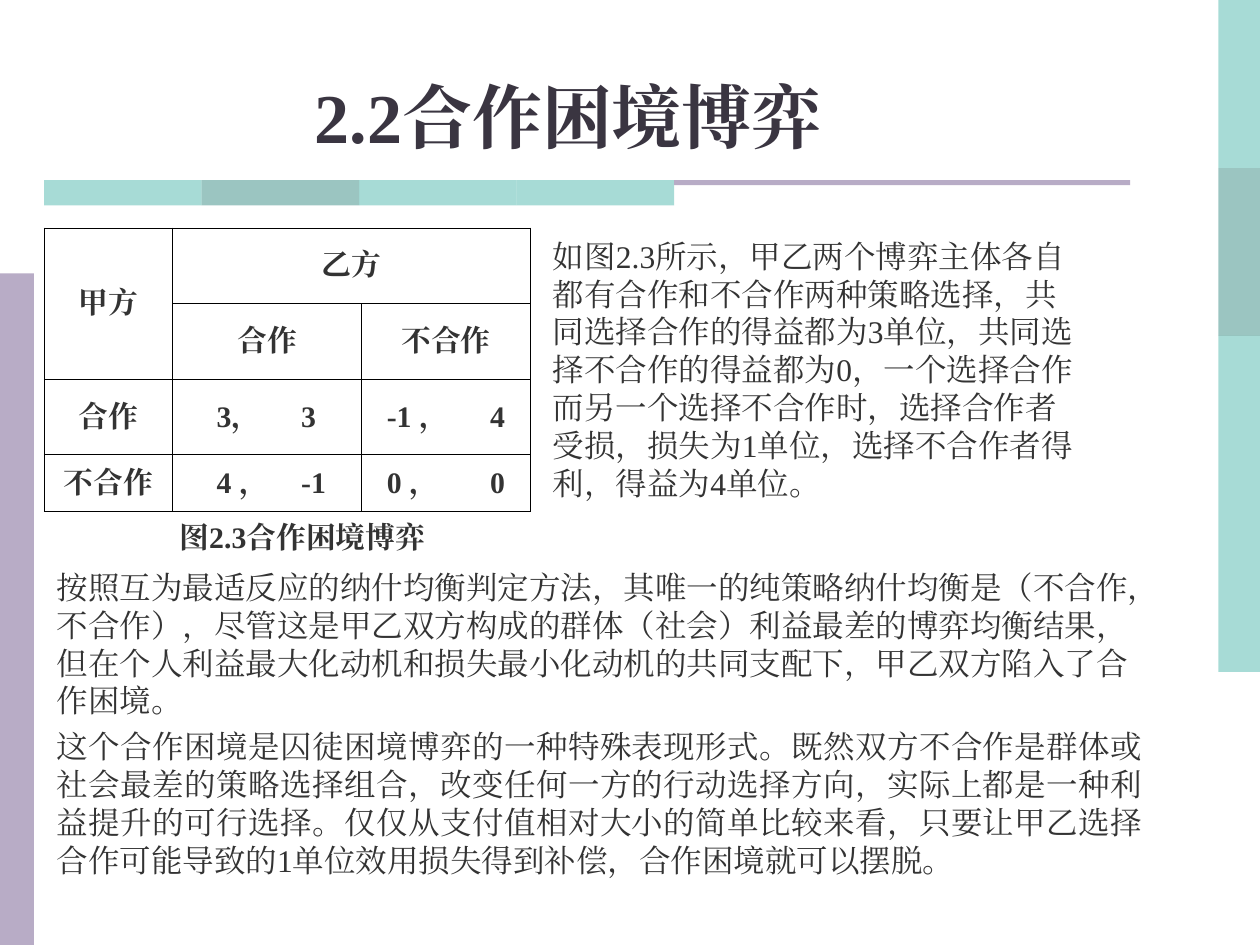
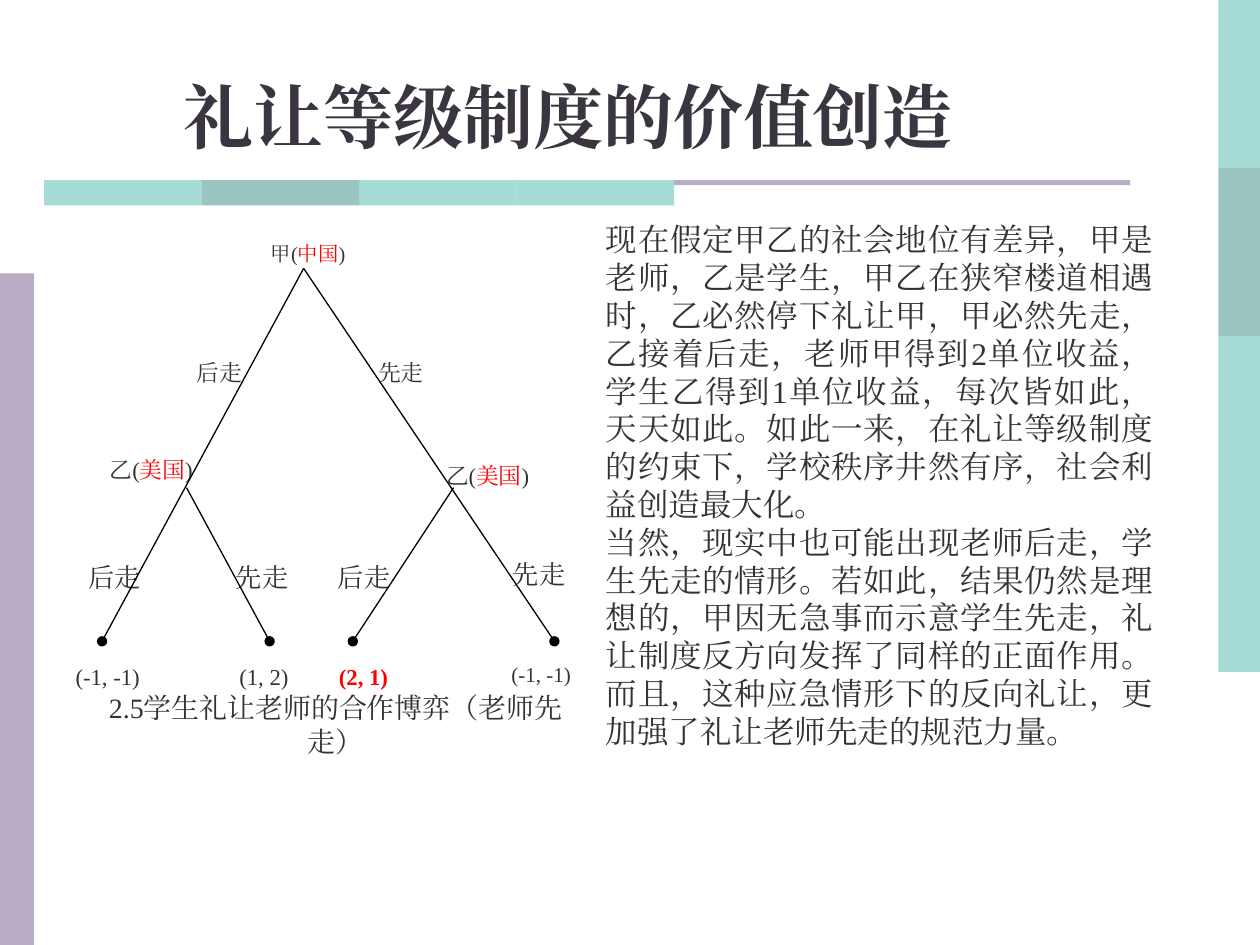
from dataclasses import dataclass

from lxml.etree import SubElement
from pptx import Presentation
from pptx.dml.color import RGBColor
from pptx.enum.shapes import MSO_CONNECTOR, MSO_SHAPE
from pptx.enum.text import MSO_ANCHOR, PP_ALIGN
from pptx.oxml.ns import qn
from pptx.slide import Slide
from pptx.table import _Cell
from pptx.text.text import TextFrame
from pptx.util import Inches, Pt

FONT = "Times New Roman"
COLORS = {
    "teal": "51B9AF",
    "deep_teal": "398D85",
    "lilac": "B8ACC6",
    "title": "3A3541",
    "body": "333333",
    "accent": "FF0000",
    "line": "000000",
    "paper": "FFFFFF",
}
BAND_COLORS = ["teal", "deep_teal", "teal", "teal"]


@dataclass(frozen=True)
class Box:
    left: float
    top: float
    width: float
    height: float

    def lengths(self) -> list[int]:
        return [Inches(v) for v in (self.left, self.top, self.width, self.height)]


@dataclass(frozen=True)
class TreeLabel:
    text: str
    box: Box
    size: float = 13
    align: PP_ALIGN = PP_ALIGN.CENTER
    spacing: float = 1.9
    accent: str = ""
    bold: bool = False
    inset: float = 0


@dataclass(frozen=True)
class Branch:
    start: tuple[float, float]
    end: tuple[float, float]


@dataclass(frozen=True)
class PayoffColumn:
    """Left margin of a payoff pair and the distance to its second value."""
    margin: float
    gap: float


TITLE_BOX = Box(0, 0.44, 9.02, 0.86)
PAYOFF_COLUMNS = {1: PayoffColumn(0.35, 0.67), 2: PayoffColumn(0.2, 0.82)}

MATRIX_BOX = Box(0.35, 1.81, 3.86, 2.25)
MATRIX_WIDTHS = [1.02, 1.5, 1.34]
MATRIX_HEIGHTS = [0.6, 0.6, 0.6, 0.45]
MATRIX = [
    ["甲方", "乙方", ""],
    ["", "合作", "不合作"],
    ["合作", "3，\t3", "-1 ，\t4"],
    ["不合作", "4 ，\t-1", "0 ，\t0"],
]

MATRIX_READING = (
    "如图2.3所示，甲乙两个博弈主体各自都有合作和不合作两种策略选择，"
    "共同选择合作的得益都为3单位，共同选择不合作的得益都为0，"
    "一个选择合作而另一个选择不合作时，选择合作者受损，损失为1单位，"
    "选择不合作者得利，得益为4单位。"
)
EQUILIBRIUM = (
    "按照互为最适反应的纳什均衡判定方法，其唯一的纯策略纳什均衡是（不合作，不合作），"
    "尽管这是甲乙双方构成的群体（社会）利益最差的博弈均衡结果，"
    "但在个人利益最大化动机和损失最小化动机的共同支配下，甲乙双方陷入了合作困境。"
)
WAY_OUT = (
    "这个合作困境是囚徒困境博弈的一种特殊表现形式。"
    "既然双方不合作是群体或社会最差的策略选择组合，改变任何一方的行动选择方向，"
    "实际上都是一种利益提升的可行选择。仅仅从支付值相对大小的简单比较来看，"
    "只要让甲乙选择合作可能导致的1单位效用损失得到补偿，合作困境就可以摆脱。"
)
TEACHER_FIRST = (
    "现在假定甲乙的社会地位有差异，甲是老师，乙是学生，甲乙在狭窄楼道相遇时，"
    "乙必然停下礼让甲，甲必然先走，乙接着后走，老师甲得到2单位收益，"
    "学生乙得到1单位收益，每次皆如此，天天如此。如此一来，"
    "在礼让等级制度的约束下，学校秩序井然有序，社会利益创造最大化。"
)
STUDENT_FIRST = (
    "当然，现实中也可能出现老师后走，学生先走的情形。若如此，结果仍然是理想的，"
    "甲因无急事而示意学生先走，礼让制度反方向发挥了同样的正面作用。"
    "而且，这种应急情形下的反向礼让，更加强了礼让老师先走的规范力量。"
)

LEFT, RIGHT, JUSTIFY = PP_ALIGN.LEFT, PP_ALIGN.RIGHT, PP_ALIGN.JUSTIFY
TREE_LABELS = [
    TreeLabel("后走", Box(2.54, 4.23, 0.7, 0.53), 15),
    TreeLabel("先走", Box(3.93, 4.21, 0.7, 0.53), 15),
    TreeLabel("(-1, -1)", Box(4.06, 5.09, 0.54, 0.36), 12, LEFT, 1.8),
    TreeLabel("先走", Box(1.76, 4.23, 0.64, 0.53), 15),
    TreeLabel("先走", Box(3, 2.65, 0.85, 0.46), align=LEFT),
    TreeLabel("乙(美国)", Box(3.54, 3.47, 0.93, 0.42), align=LEFT, accent="美国"),
    TreeLabel("乙(美国)", Box(0.68, 3.42, 0.85, 0.42), align=RIGHT, accent="美国"),
    TreeLabel("(2, 1)", Box(2.64, 5.09, 0.67, 0.39), 13, LEFT, 1.8,
              accent="(2, 1)", bold=True, inset=0.05),
    TreeLabel("(1, 2)", Box(1.85, 5.09, 0.67, 0.39), 13, LEFT, 1.8, inset=0.05),
    TreeLabel("(-1, -1)", Box(0.55, 5.09, 0.67, 0.39), 13, LEFT, 1.8, inset=0.05),
    TreeLabel("后走", Box(0.6, 4.23, 0.62, 0.53), 15),
    TreeLabel("后走", Box(0.99, 2.65, 0.93, 0.46), align=RIGHT),
    TreeLabel("甲(中国)", Box(2.06, 1.78, 0.77, 0.42), 11.6, spacing=1.7, accent="中国"),
]
BRANCHES = [
    Branch((2.41, 2.13), (0.81, 5.09)),
    Branch((2.41, 2.13), (4.4, 5.09)),
    Branch((1.48, 3.87), (2.14, 5.09)),
    Branch((3.6, 3.87), (2.8, 5.09)),
]


def rgb(color: str) -> RGBColor:
    return RGBColor.from_string(COLORS[color])


def write_text(frame: TextFrame, *paragraphs: str, size: float = 18,
               color: str = "body", bold: bool = False, accent: str = "",
               aligns: tuple[PP_ALIGN, ...] = (LEFT,), spacing: float = 1.0,
               gap: float = 0, tab: float = 0) -> None:
    """Fill a frame; the last of aligns also serves any further paragraphs."""
    frame.word_wrap = True
    for index, text in enumerate(paragraphs):
        paragraph = frame.add_paragraph() if index else frame.paragraphs[0]
        if tab:
            tabs = SubElement(paragraph._p.get_or_add_pPr(), qn("a:tabLst"))
            SubElement(tabs, qn("a:tab"), pos=str(Inches(tab)), algn="l")
        paragraph.alignment = aligns[min(index, len(aligns) - 1)]
        paragraph.line_spacing = spacing
        if index and gap:
            paragraph.space_before = Pt(gap)
        for piece in text.partition(accent) if accent else (text,):
            if not piece:
                continue
            run = paragraph.add_run()
            run.text = piece
            run.font.size, run.font.bold, run.font.name = Pt(size), bold, FONT
            run.font.color.rgb = rgb("accent" if piece == accent else color)
            SubElement(run._r.get_or_add_rPr(), qn("a:ea"), typeface=FONT)


def add_text(slide: Slide, box: Box, *paragraphs: str,
             anchor: MSO_ANCHOR = MSO_ANCHOR.TOP, **text_format) -> None:
    frame = slide.shapes.add_textbox(*box.lengths()).text_frame
    frame.vertical_anchor = anchor
    write_text(frame, *paragraphs, **text_format)


def add_block(slide: Slide, box: Box, color: str, opacity: int = 100):
    block = slide.shapes.add_shape(MSO_SHAPE.RECTANGLE, *box.lengths())
    block.shadow.inherit = False
    block.fill.solid()
    block.fill.fore_color.rgb = rgb(color)
    block.line.fill.background()
    if opacity < 100:
        hue = block._element.spPr.find(f"{qn('a:solidFill')}/{qn('a:srgbClr')}")
        SubElement(hue, qn("a:alpha"), val=str(opacity * 1000))
    return block


def add_framed_slide(deck, title: str) -> Slide:
    """Add a slide with the side bands, the rule under the title and the title."""
    slide = deck.slides.add_slide(deck.slide_layouts[6])
    side_height, rule_width = 4 / 3, 1.25
    for index, color in enumerate(BAND_COLORS):
        add_block(slide, Box(9.67, index * side_height, 0.33, side_height), color, 50)
        add_block(slide, Box(0.35 + index * rule_width, 1.43, rule_width, 0.2), color, 50)
    add_block(slide, Box(0, 2.17, 0.27, 5.33), "lilac")
    add_block(slide, Box(5.35, 1.43, 3.62, 0.04), "lilac")
    add_text(slide, TITLE_BOX, title, size=40, color="title", bold=True,
             aligns=(PP_ALIGN.CENTER,), anchor=MSO_ANCHOR.BOTTOM)
    return slide


def style_cell(cell: _Cell) -> None:
    properties = cell._tc.get_or_add_tcPr()
    for side in ("a:lnL", "a:lnR", "a:lnT", "a:lnB"):
        border = SubElement(properties, qn(side), w=str(Pt(0.45)))
        fill = SubElement(border, qn("a:solidFill"))
        SubElement(fill, qn("a:srgbClr"), val=COLORS["line"])
    cell.fill.background()
    cell.vertical_anchor = MSO_ANCHOR.MIDDLE


def add_payoff_matrix(slide: Slide) -> None:
    matrix = slide.shapes.add_table(
        len(MATRIX), len(MATRIX_WIDTHS), *MATRIX_BOX.lengths()).table
    matrix.first_row = matrix.horz_banding = False
    for column, width in zip(matrix.columns, MATRIX_WIDTHS):
        column.width = Inches(width)
    for row, height in zip(matrix.rows, MATRIX_HEIGHTS):
        row.height = Inches(height)
    for r, entries in enumerate(MATRIX):
        for c, entry in enumerate(entries):
            cell = matrix.cell(r, c)
            style_cell(cell)
            if "\t" in entry:
                pair = PAYOFF_COLUMNS[c]
                cell.margin_left = Inches(pair.margin)
                write_text(cell.text_frame, entry, size=17, bold=True, tab=pair.gap)
            elif entry:
                write_text(cell.text_frame, entry, size=17, bold=True,
                           aligns=(PP_ALIGN.CENTER,))
    matrix.cell(0, 0).merge(matrix.cell(1, 0))
    matrix.cell(0, 1).merge(matrix.cell(0, 2))


def add_tree_label(slide: Slide, label: TreeLabel) -> None:
    plate = add_block(slide, label.box, "paper")
    plate.line.color.rgb = rgb("paper")
    plate.line.width = Pt(0.75)
    frame = plate.text_frame
    frame.margin_left = Inches(label.inset)
    frame.margin_top = frame.margin_right = frame.margin_bottom = 0
    frame.vertical_anchor = MSO_ANCHOR.TOP
    write_text(frame, label.text, size=label.size, bold=label.bold,
               accent=label.accent, aligns=(label.align,), spacing=label.spacing)


def add_branch(slide: Slide, branch: Branch) -> None:
    """Draw a tree branch that ends in a dot."""
    ends = [Inches(v) for v in (*branch.start, *branch.end)]
    connector = slide.shapes.add_connector(MSO_CONNECTOR.STRAIGHT, *ends)
    connector.line.color.rgb = rgb("line")
    connector.line.width = Pt(0.75)
    SubElement(connector.line._get_or_add_ln(), qn("a:tailEnd"), type="oval")
    SubElement(connector._element.spPr, qn("a:effectLst"))


def build_dilemma_slide(deck) -> None:
    slide = add_framed_slide(deck, "2.2合作困境博弈")
    add_text(slide, Box(0.59, 4.06, 3.62, 0.39), "图2.3合作困境博弈", size=17,
             bold=True, aligns=(PP_ALIGN.CENTER,), anchor=MSO_ANCHOR.MIDDLE)
    add_payoff_matrix(slide)
    add_text(slide, Box(4.29, 1.83, 4.33, 2.2), MATRIX_READING)
    add_text(slide, Box(0.35, 4.46, 8.82, 2.57), EQUILIBRIUM, WAY_OUT,
             aligns=(LEFT, JUSTIFY), gap=4.5)


def build_courtesy_slide(deck) -> None:
    slide = add_framed_slide(deck, "礼让等级制度的价值创造")
    add_text(slide, Box(4.71, 1.7, 4.54, 4.3), TEACHER_FIRST, STUDENT_FIRST,
             aligns=(JUSTIFY,))
    add_text(slide, Box(0.64, 5.43, 4.05, 0.64), "2.5学生礼让老师的合作博弈（老师先走）",
             size=16, aligns=(PP_ALIGN.CENTER,), anchor=MSO_ANCHOR.MIDDLE)
    for label in TREE_LABELS:
        add_tree_label(slide, label)
    for branch in BRANCHES:
        add_branch(slide, branch)


def main() -> None:
    deck = Presentation()
    deck.slide_width, deck.slide_height = Inches(10), Inches(7.5)
    build_dilemma_slide(deck)
    build_courtesy_slide(deck)
    deck.save("out.pptx")


if __name__ == "__main__":
    main()
